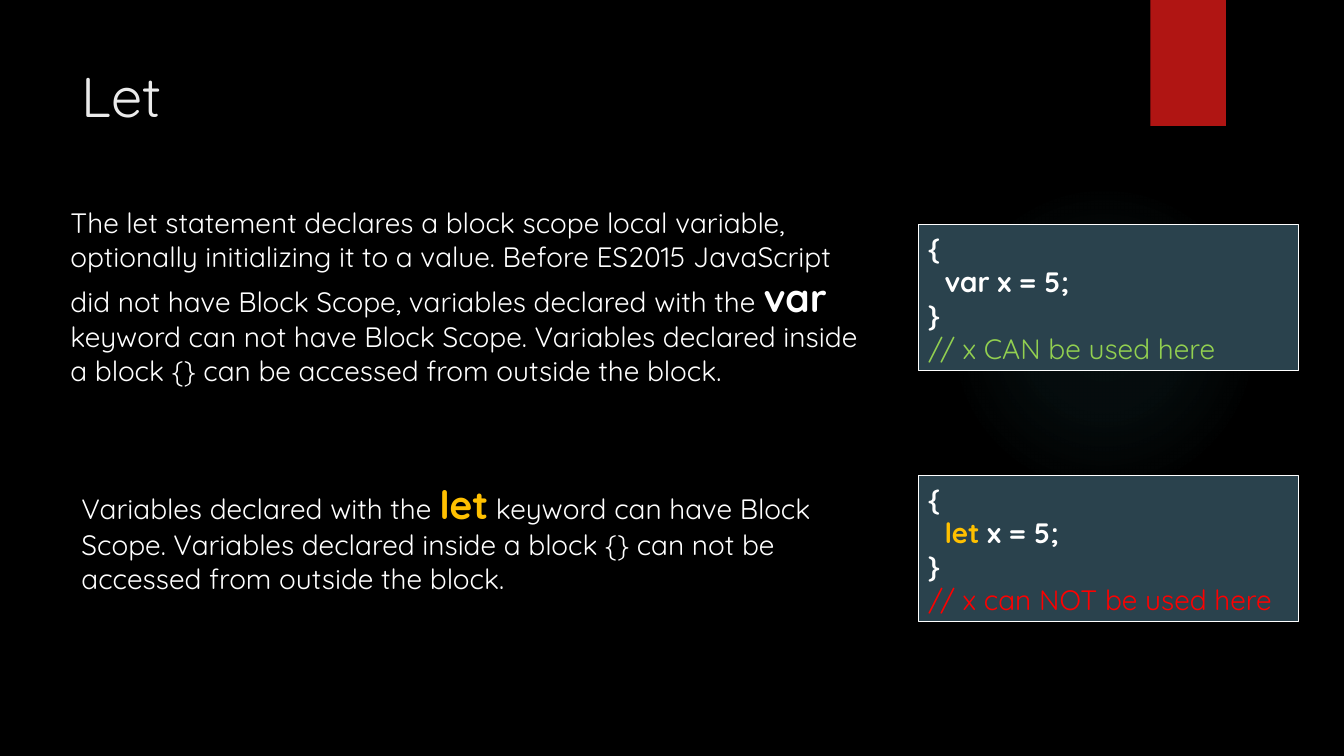
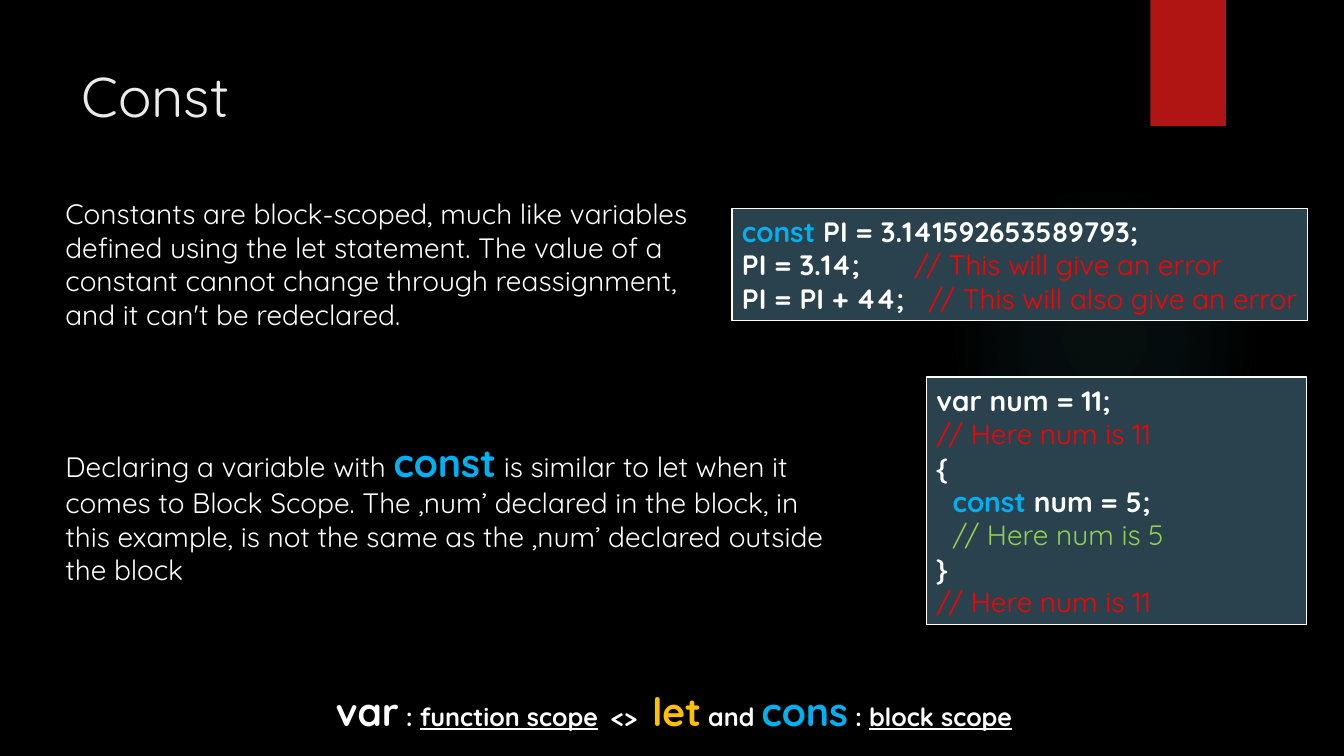
from lxml import etree
from pptx import Presentation
from pptx.dml.color import RGBColor
from pptx.enum.shapes import MSO_SHAPE
from pptx.enum.text import MSO_ANCHOR, PP_ALIGN
from pptx.oxml.ns import qn
from pptx.util import Inches, Pt

RECTANGLE, OVAL = MSO_SHAPE.RECTANGLE, MSO_SHAPE.OVAL
TOP, MIDDLE = MSO_ANCHOR.TOP, MSO_ANCHOR.MIDDLE
LEFT = PP_ALIGN.LEFT

THEME = {
    "font": "Quicksand",
    "background": "000000", "glow": "50B9C1", "band": "B01513",
    "code_fill": "2A424D", "white": "FFFFFF",
    # Code lines: pitch in points, indent and padding in inches
    "line_pitch": 24.25, "indent": 0.16, "padding": 0.1,
}

# Text styles: size, colour, bold, underline
STYLES = {
    "title": (40, "EBEBEB", False, False),
    "text": (20, "FFFFFF", False, False),
    "code": (20, "FFFFFF", True, False),
    "good": (20, "92D050", False, False),
    "bad": (20, "FF0000", False, False),
    "let": (20, "FFC000", True, False),
    "const": (20, "00B0F0", True, False),
    "big_var": (28, "FFFFFF", True, False),
    "big_let": (28, "FFC000", True, False),
    "big_const": (28, "00B0F0", True, False),
    "note": (18, "FFFFFF", True, False),
    "underlined": (18, "FFFFFF", True, True),
}

# Content: a line is a list of (style, text); a code line starts with its depth.
# Text boxes are placed by left, top, width, height; code boxes by left, top, width.
SLIDES = [
    {
        "title": "Let",
        "texts": [
            {"at": (0.6, 1.99, 8.21, 1.92), "line": [
                ("text", "The let statement declares a block scope local variable, "
                         "optionally initializing it to a value. Before ES2015 JavaScript "
                         "did not have Block Scope, variables declared with the "),
                ("big_var", "var"),
                ("text", " keyword can not have Block Scope. Variables declared inside "
                         "a block {} can be accessed from outside the block.")]},
            {"at": (0.71, 4.72, 7.97, 1.25), "line": [
                ("text", "Variables declared with the "),
                ("big_let", "let"),
                ("text", " keyword can have Block Scope. Variables declared inside a "
                         "block {} can not be accessed from outside the block.")]},
        ],
        "codes": [
            {"at": (9.11, 2.23, 3.77), "lines": [
                (0, [("code", "{")]),
                (1, [("code", "var x = 5;")]),
                (0, [("code", "}")]),
                (0, [("good", "// x CAN be used here")])]},
            {"at": (9.11, 4.72, 3.77), "lines": [
                (0, [("code", "{")]),
                (1, [("let", "let"), ("code", " x = 5;")]),
                (0, [("code", "}")]),
                (0, [("bad", "// x can NOT be used here")])]},
        ],
    },
    {
        "title": "Const",
        "texts": [
            {"at": (0.55, 1.9, 6.71, 1.45), "line": [
                ("text", "Constants are block-scoped, much like variables defined using "
                         "the let statement. The value of a constant cannot change through "
                         "reassignment, and it can't be redeclared.")]},
            {"at": (0.55, 4.3, 7.97, 1.58), "line": [
                ("text", "Declaring a variable with "),
                ("big_const", "const"),
                ("text", " is similar to let when it comes to Block Scope. The ‚num’ "
                         "declared in the block, in this example, is not the same as "
                         "the ‚num’ declared outside the block")]},
            {"at": (3.23, 6.77, 7.28, 0.57), "tabs": (2.73, 3.14), "line": [
                ("big_var", "var"), ("note", " : "),
                ("underlined", "function scope\t"), ("note", "<>\t"),
                ("big_let", "let"), ("note", " and "),
                ("big_const", "cons"), ("note", " : "),
                ("underlined", "block scope")]},
        ],
        "codes": [
            {"at": (7.26, 2.07, 5.71), "tabs": (1.71, 1.85), "lines": [
                (0, [("const", "const "), ("code", "PI = 3.141592653589793;")]),
                (0, [("code", "PI = 3.14;\t"), ("bad", "// This will give an error")]),
                (0, [("code", "PI = PI + 44;\t"),
                     ("bad", "// This will also give an error")])]},
            {"at": (9.19, 3.74, 3.77), "lines": [
                (0, [("code", "var num = 11;")]),
                (0, [("bad", "// Here num is 11")]),
                (0, [("code", "{")]),
                (1, [("const", "const "), ("code", "num = 5;")]),
                (1, [("good", "// Here num is 5")]),
                (0, [("code", "}")]),
                (0, [("bad", "// Here num is 11")])]},
        ],
    },
]


def color(name):
    return RGBColor.from_string(THEME[name])


def write_line(para, line, depth=0, tabs=()):
    """Fill a paragraph with styled spans, an indent and tab stops."""
    para.alignment = LEFT
    properties = para._p.get_or_add_pPr()
    if depth:
        properties.set("marL", str(Inches(depth * THEME["indent"])))
        properties.set("indent", "0")
    if tabs:
        stops = etree.SubElement(properties, qn("a:tabLst"))
        for stop in tabs:
            etree.SubElement(stops, qn("a:tab"), pos=str(Inches(stop)), algn="l")
    for style, text in line:
        size, rgb, bold, underline = STYLES[style]
        span = para.add_run()
        span.text = text
        values = {"name": THEME["font"], "size": Pt(size),
                  "bold": bold, "underline": underline}
        for key, value in values.items():
            setattr(span.font, key, value)
        span.font.color.rgb = RGBColor.from_string(rgb)


def add_plain_shape(page, kind, place):
    shape = page.shapes.add_shape(kind, *map(Inches, place))
    shape.shadow.inherit = False
    shape.line.fill.background()
    return shape


def set_glow(shape):
    """Fill a shape with a round gradient that fades out."""
    shape.fill.background()
    blank = shape.element.spPr.find(qn("a:noFill"))
    gradient = etree.Element(qn("a:gradFill"), rotWithShape="1")
    stops = etree.SubElement(gradient, qn("a:gsLst"))
    for position, alpha in ((0, 7), (36, 6), (69, 0)):
        stop = etree.SubElement(stops, qn("a:gs"), pos=str(position * 1000))
        tint = etree.SubElement(stop, qn("a:srgbClr"), val=THEME["glow"])
        etree.SubElement(tint, qn("a:alpha"), val=str(alpha * 1000))
    circle = etree.SubElement(gradient, qn("a:path"), path="circle")
    etree.SubElement(circle, qn("a:fillToRect"),
                     dict.fromkeys("ltrb", "50000"))
    blank.getparent().replace(blank, gradient)


def style_layout(layout, page):
    """Give the layout its background, title place, glow and red band."""
    layout.background.fill.solid()
    layout.background.fill.fore_color.rgb = color("background")
    title = layout.placeholders[0]
    place = zip(("left", "top", "width", "height"), (0.71, 0.5, 10.76, 0.88))
    for side, length in place:
        setattr(title, side, Inches(length))
    title.text_frame.vertical_anchor = MIDDLE

    glow = add_plain_shape(page, OVAL, (9.41, 1.83, 3.08, 3.08))
    set_glow(glow)
    band = add_plain_shape(page, RECTANGLE, (11.41, 0, 0.75, 1.25))
    band.fill.solid()
    band.fill.fore_color.rgb = color("band")
    for shape in (glow, band):
        layout.shapes.element.append(shape.element)


def add_text(page, at, line, tabs=()):
    box = page.shapes.add_textbox(*map(Inches, at))
    frame = box.text_frame
    frame.word_wrap = True
    frame.vertical_anchor = TOP
    write_line(frame.paragraphs[0], line, tabs=tabs)


def add_code(page, at, lines, tabs=()):
    """Add a code panel as high as its lines; tab stops go to the tabbed lines in turn."""
    height = len(lines) * THEME["line_pitch"] / 72 + THEME["padding"]
    box = add_plain_shape(page, RECTANGLE, (*at, height))
    box.fill.solid()
    box.fill.fore_color.rgb = color("code_fill")
    box.line.color.rgb = color("white")
    box.line.width = Pt(1)
    frame = box.text_frame
    frame.word_wrap = True
    frame.vertical_anchor = MIDDLE
    stops = iter(tabs)
    for index, (depth, line) in enumerate(lines):
        para = frame.add_paragraph() if index else frame.paragraphs[0]
        tabbed = any("\t" in text for _, text in line)
        write_line(para, line, depth, (next(stops),) if tabbed else ())


def main():
    deck = Presentation()
    deck.slide_width, deck.slide_height = Inches(13.33), Inches(7.5)
    layout = deck.slide_layouts.get_by_name("Title Only")
    for number, content in enumerate(SLIDES):
        page = deck.slides.add_slide(layout)
        if number == 0:
            style_layout(layout, page)
        write_line(page.shapes.title.text_frame.paragraphs[0],
                   [("title", content["title"])])
        for text in content["texts"]:
            add_text(page, **text)
        for code in content["codes"]:
            add_code(page, **code)
    deck.save("out.pptx")


if __name__ == "__main__":
    main()
